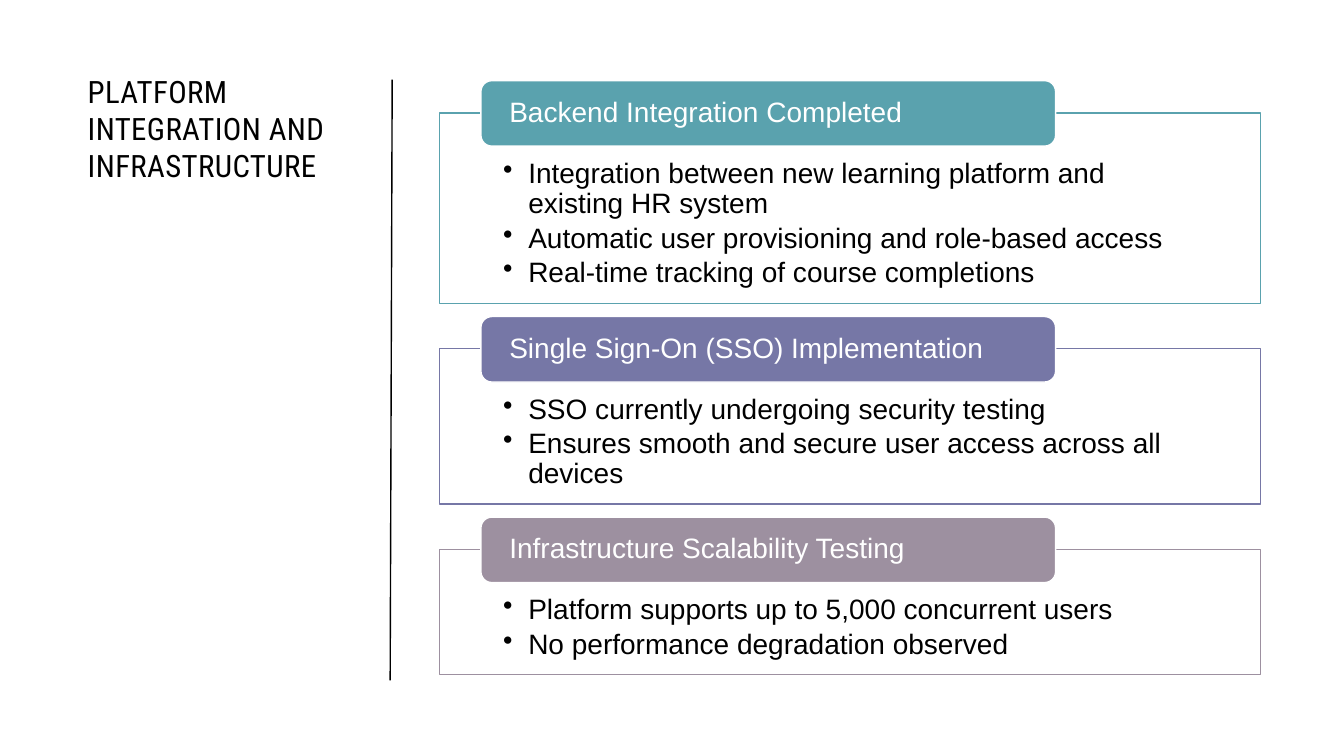
from dataclasses import dataclass

from lxml import etree
from pptx import Presentation
from pptx import util as u
from pptx.dml.color import RGBColor
from pptx.enum import shapes, text
from pptx.oxml.ns import qn

PX = 9144  # EMU, 100 px to the inch


@dataclass(frozen=True)
class Theme:
    ink: str = "000000"
    paper: str = "FFFFFF"
    teal: str = "5AA2AE"
    violet: str = "7677A6"
    mauve: str = "9D90A0"
    title_font: str = "Roboto Condensed"
    body_font: str = "Arial"
    title_size: int = 22
    body_size: int = 20
    line_width: int = 1


THEME = Theme()
TITLE = "PLATFORM INTEGRATION AND INFRASTRUCTURE"
SECTIONS = [
    ("Backend Integration Completed", THEME.teal, 189, [
        "Integration between new learning platform and existing HR system",
        "Automatic user provisioning and role-based access",
        "Real-time tracking of course completions",
    ]),
    ("Single Sign-On (SSO) Implementation", THEME.violet, 154, [
        "SSO currently undergoing security testing",
        "Ensures smooth and secure user access across all devices",
    ]),
    ("Infrastructure Scalability Testing", THEME.mauve, 124, [
        "Platform supports up to 5,000 concurrent users",
        "No performance degradation observed",
    ]),
]
FRAME_LEFT, FRAME_TOP, FRAME_WIDTH, FRAME_GAP = 436, 112, 814, 45
HEADER_LEFT, HEADER_WIDTH, HEADER_HEIGHT, HEADER_RISE = 477, 570, 65, 32


def apply_format(target, values):
    for name, value in values.items():
        setattr(target, name, value)


class SlideBuilder:
    """Draws elements on one slide in the given theme, with lengths in px."""

    def __init__(self, slide, theme):
        self.slide = slide
        self.theme = theme

    def place(self, shape, left, top, width, height):
        apply_format(shape, {"left": left * PX, "top": top * PX,
                             "width": width * PX, "height": height * PX})

    def add_span(self, para, words, font, size, color):
        span = para.add_run()
        span.text = words
        apply_format(span.font, {"name": font, "size": u.Pt(size)})
        span.font.color.rgb = RGBColor.from_string(color)
        return span

    def set_frame(self, shape, anchor, insets):
        left, top, right, bottom = insets
        apply_format(shape.text_frame, {
            "word_wrap": True, "auto_size": text.MSO_AUTO_SIZE.NONE,
            "vertical_anchor": anchor,
            "margin_left": left * PX, "margin_top": top * PX,
            "margin_right": right * PX, "margin_bottom": bottom * PX})

    def title(self, words, *area):
        shape = self.slide.shapes.title
        self.place(shape, *area)
        self.set_frame(shape, text.MSO_ANCHOR.TOP, (10, 5, 10, 5))
        para = shape.text_frame.paragraphs[0]
        para.alignment = text.PP_ALIGN.LEFT
        span = self.add_span(para, words, self.theme.title_font,
                             self.theme.title_size, self.theme.ink)
        span.font._element.set("spc", "30")

    def line(self, *ends):
        rule = self.slide.shapes.add_connector(
            shapes.MSO_CONNECTOR.STRAIGHT, *(end * PX for end in ends))
        rule.line.width = u.Pt(self.theme.line_width)
        rule.line.color.rgb = RGBColor.from_string(self.theme.ink)
        etree.SubElement(rule._element.spPr, qn("a:effectLst"))

    def box(self, kind, fill, border, *area):
        box = self.slide.shapes.add_shape(kind, *(side * PX for side in area))
        box.shadow.inherit = False
        box.fill.solid()
        box.fill.fore_color.rgb = RGBColor.from_string(fill)
        box.line.width = u.Pt(self.theme.line_width)
        box.line.color.rgb = RGBColor.from_string(border)
        return box

    def paragraph(self, para, words, color, space_after):
        apply_format(para, {"alignment": text.PP_ALIGN.LEFT,
                            "line_spacing": 0.9,
                            "space_after": u.Pt(space_after)})
        self.add_span(para, words, self.theme.body_font,
                      self.theme.body_size, color)

    def bullet_frame(self, items, color, *area):
        box = self.box(shapes.MSO_SHAPE.RECTANGLE, self.theme.paper, color, *area)
        paint = box._element.spPr.find(qn("a:solidFill"))[0]
        etree.SubElement(paint, qn("a:alpha"), val="90000")
        self.set_frame(box, text.MSO_ANCHOR.TOP, (63, 46, 63, 16))
        frame = box.text_frame
        for index, item in enumerate(items):
            para = frame.add_paragraph() if index else frame.paragraphs[0]
            self.paragraph(para, item, self.theme.ink, 3)
            para.level = 1
            props = para._p.get_or_add_pPr()
            props.set("marL", str(25 * PX))
            props.set("indent", str(-25 * PX))
            etree.SubElement(props, qn("a:buChar"), char="•")

    def header(self, words, color, *area):
        box = self.box(shapes.MSO_SHAPE.ROUNDED_RECTANGLE, color,
                       self.theme.paper, *area)
        self.set_frame(box, text.MSO_ANCHOR.MIDDLE, (25, 0, 25, 0))
        self.paragraph(box.text_frame.paragraphs[0], words, self.theme.paper, 0)


def main():
    deck = Presentation()
    apply_format(deck, {"slide_width": 1333 * PX, "slide_height": 750 * PX})
    page = SlideBuilder(deck.slides.add_slide(deck.slide_layouts[5]), THEME)
    page.title(TITLE, 77, 67, 276, 491)
    page.line(387, 675, 389, 79)
    top = FRAME_TOP
    for heading, color, height, items in SECTIONS:
        page.bullet_frame(items, color, FRAME_LEFT, top, FRAME_WIDTH, height)
        page.header(heading, color, HEADER_LEFT, top - HEADER_RISE,
                    HEADER_WIDTH, HEADER_HEIGHT)
        top += height + FRAME_GAP
    deck.save("out.pptx")


if __name__ == "__main__":
    main()
